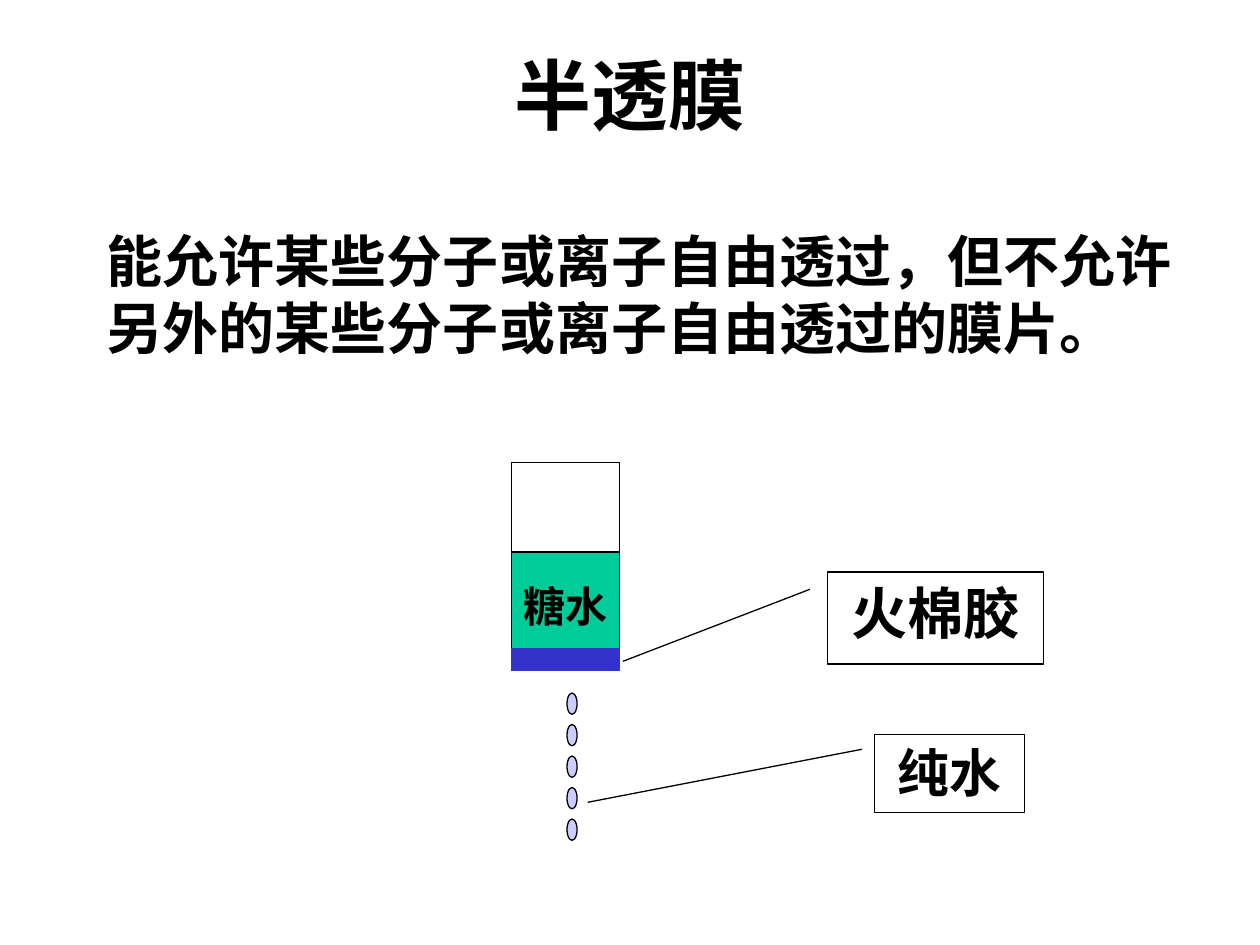
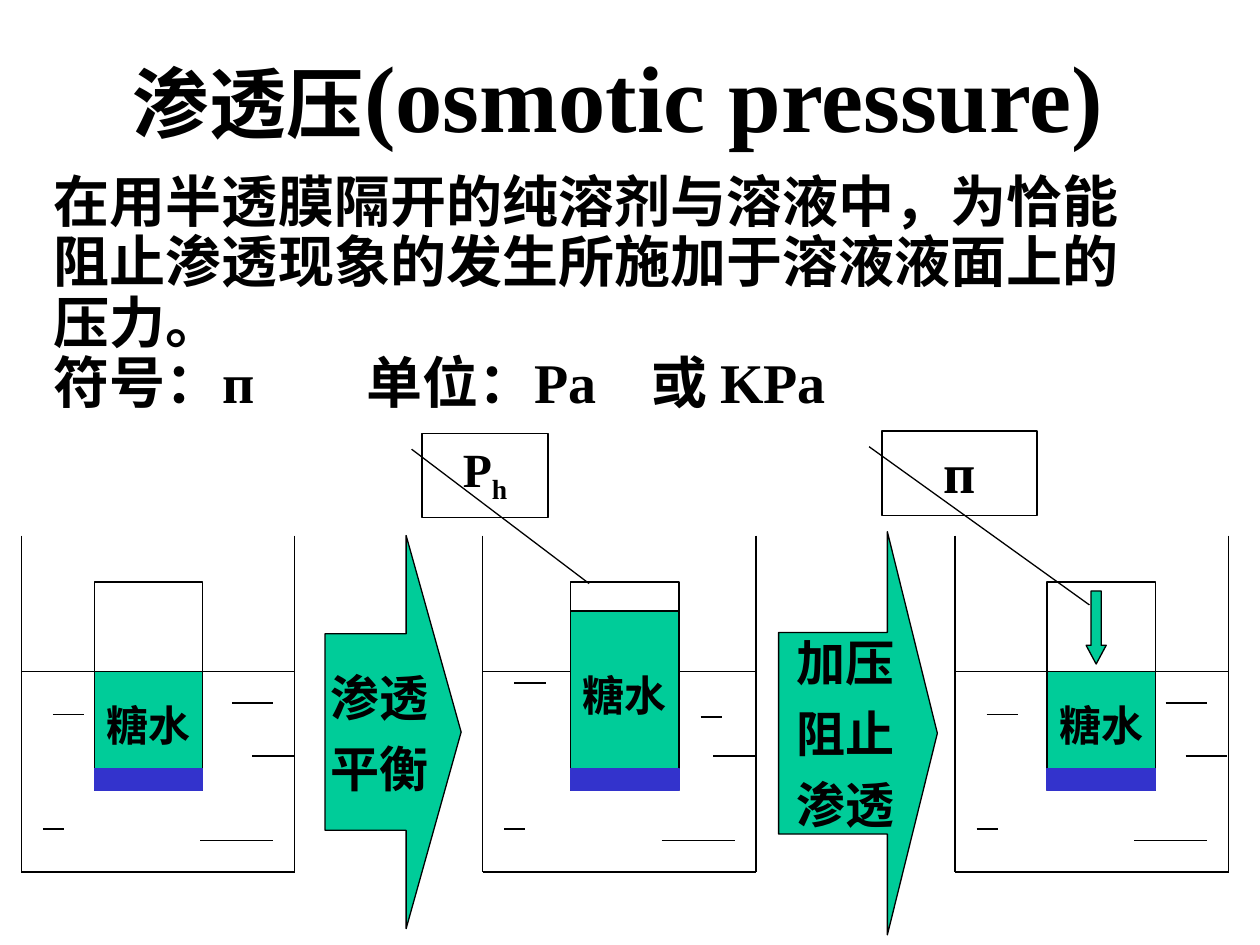
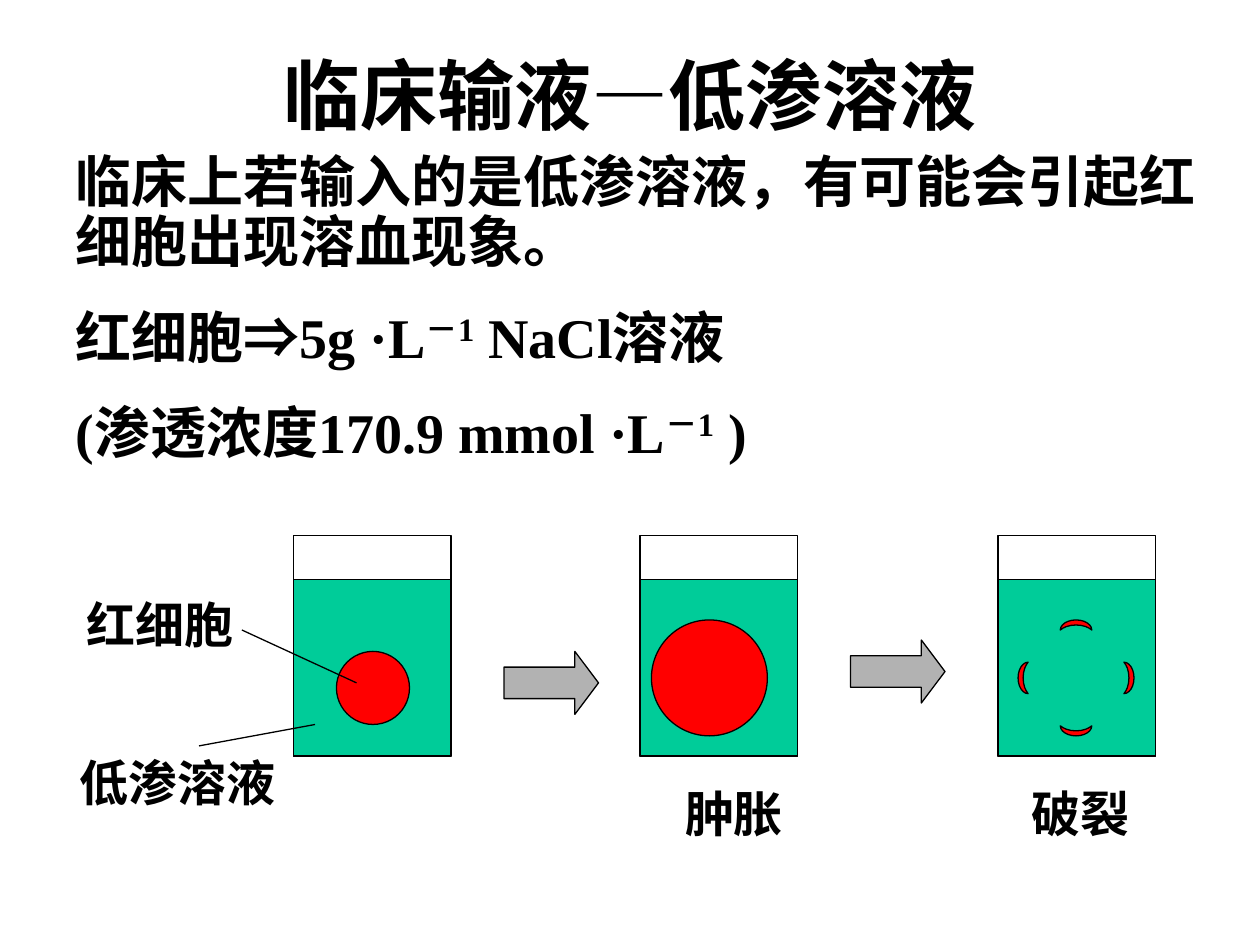
from dataclasses import dataclass
from typing import NamedTuple

from lxml.etree import SubElement
from pptx import Presentation
from pptx.dml.color import RGBColor
from pptx.enum.shapes import MSO_CONNECTOR, MSO_SHAPE
from pptx.enum.text import MSO_ANCHOR, MSO_AUTO_SIZE, PP_ALIGN
from pptx.oxml.ns import qn
from pptx.util import Inches, Pt


@dataclass(frozen=True)
class Theme:
    font: str = "Times New Roman"
    symbol_font: str = "Arial"
    ink: RGBColor = RGBColor(0x00, 0x00, 0x00)
    solution: RGBColor = RGBColor(0x00, 0xCC, 0x99)
    membrane: RGBColor = RGBColor(0x33, 0x33, 0xCC)
    water: RGBColor = RGBColor(0xCC, 0xCC, 0xFF)
    blood: RGBColor = RGBColor(0xFF, 0x00, 0x00)
    step: RGBColor = RGBColor(0xB2, 0xB2, 0xB2)
    line_width: float = 0.75
    title: float = 44
    title_latin: float = 54
    body: float = 32
    water_label: float = 29.6
    pressure_label: float = 27.2
    label: float = 28
    tube_label: float = 24


THEME = Theme()


class Box(NamedTuple):
    left: float
    top: float
    width: float
    height: float

    def inner(self, left, top, width, height):
        """Box given relative to this one's top left corner."""
        return Box(self.left + left, self.top + top, width, height)

    def lengths(self):
        return [Inches(value) for value in self]


class Run(NamedTuple):
    text: str
    size: float = 0
    font: str = THEME.font
    baseline: int = 0


def style_font(font, size, name=THEME.font):
    font.name = name
    font.size = Pt(size)
    font.bold = True
    font.color.rgb = THEME.ink


def add_tab_stops(paragraph, stops):
    tab_list = SubElement(paragraph._p.get_or_add_pPr(), qn("a:tabLst"))
    for stop in stops:
        SubElement(tab_list, qn("a:tab"), pos=str(Inches(stop)), algn="l")


def write_text(frame, paragraphs, size, align=PP_ALIGN.CENTER, space_before=0,
               line_spacing=1.0, tab_stops=()):
    """Fill a frame; each paragraph is a string or a list of Run."""
    for index, content in enumerate(paragraphs):
        paragraph = frame.add_paragraph() if index else frame.paragraphs[0]
        if tab_stops:
            add_tab_stops(paragraph, tab_stops)
        paragraph.alignment = align
        paragraph.line_spacing = line_spacing
        paragraph.space_before = Pt(space_before if index else 0)
        if isinstance(content, str):
            paragraph.text = content
            style_font(paragraph.font, size)
            continue
        for part in content:
            run = paragraph.add_run()
            run.text = part.text
            style_font(run.font, part.size or size, part.font)
            if part.baseline:
                run._r.get_or_add_rPr().set("baseline", str(part.baseline * 1000))


def add_title(slide, content, box=Box(0.75, 0.33, 8.5, 0.83)):
    title = slide.shapes.title
    title.left, title.top, title.width, title.height = box.lengths()
    frame = title.text_frame
    frame.auto_size = MSO_AUTO_SIZE.NONE
    frame.vertical_anchor = MSO_ANCHOR.MIDDLE
    write_text(frame, [content], THEME.title)


def add_text_frame(slide, box):
    frame = slide.shapes.add_textbox(*box.lengths()).text_frame
    frame.word_wrap = True
    return frame


def add_body(slide, box, paragraphs, **format_options):
    write_text(add_text_frame(slide, box), paragraphs, THEME.body,
               align=PP_ALIGN.LEFT, **format_options)


def add_label(slide, box, text):
    """Centred one-line label that may use the full width of its box."""
    frame = add_text_frame(slide, box)
    frame.margin_left = frame.margin_right = 0
    write_text(frame, [text], THEME.label)


def add_figure(slide, kind, box, fill=None, line=THEME.ink, adjustments=()):
    shape = slide.shapes.add_shape(kind, *box.lengths())
    shape.shadow.inherit = False
    for index, value in enumerate(adjustments):
        shape.adjustments[index] = value
    if fill is None:
        shape.fill.background()
    else:
        shape.fill.solid()
        shape.fill.fore_color.rgb = fill
    shape.line.color.rgb = line
    shape.line.width = Pt(THEME.line_width)
    return shape


def add_caption(shape, paragraphs, size, **format_options):
    """Unwrapped text in the middle of a shape."""
    frame = shape.text_frame
    frame.word_wrap = False
    frame.vertical_anchor = MSO_ANCHOR.MIDDLE
    write_text(frame, paragraphs, size, **format_options)


def add_line(slide, left, top, right, bottom):
    ends = [Inches(value) for value in (left, top, right, bottom)]
    connector = slide.shapes.add_connector(MSO_CONNECTOR.STRAIGHT, *ends)
    connector.line.color.rgb = THEME.ink
    connector.line.width = Pt(THEME.line_width)
    SubElement(connector._element.spPr, qn("a:effectLst"))


def add_callout(slide, box, content, size, pointer):
    """Framed label with a leader line ending at pointer (fractions down, across)."""
    shape = add_figure(slide, MSO_SHAPE.LINE_CALLOUT_1, box,
                       adjustments=(0.188, -0.083, *pointer))
    shape.text_frame.word_wrap = True
    shape.text_frame.vertical_anchor = MSO_ANCHOR.TOP
    write_text(shape.text_frame, [content], size)


def add_tube(slide, left, top, liquid_top=0.71):
    """Tube of sugar water closed by a membrane."""
    tube = Box(left, top, 0.86, 1.65)
    liquid = add_figure(slide, MSO_SHAPE.RECTANGLE,
                        tube.inner(0, liquid_top, tube.width, 1.56 - liquid_top),
                        THEME.solution)
    add_caption(liquid, ["糖水"], THEME.tube_label)
    add_figure(slide, MSO_SHAPE.RECTANGLE, tube)
    add_figure(slide, MSO_SHAPE.RECTANGLE, tube.inner(0, 1.48, tube.width, 0.17),
               THEME.membrane, THEME.membrane)


def add_beaker(slide, box, upper_ripples):
    """Open beaker of water; ripples are (left, top, length) inside the box."""
    right, bottom = box.left + box.width, box.top + box.height
    for side in (box.left, right):
        add_line(slide, side, box.top, side, bottom)
    for level in (box.top + 1.08, bottom):
        add_line(slide, box.left, level, right, level)
    lower_ripples = [(0.17, 2.33, 0.17), (1.83, 1.75, 0.33), (1.42, 2.42, 0.58)]
    for left, top, length in lower_ripples + upper_ripples:
        start, level = box.left + left, box.top + top
        add_line(slide, start, level, start + length, level)


def add_process_arrow(slide, box, head, lines):
    arrow = add_figure(slide, MSO_SHAPE.RIGHT_ARROW, box, THEME.solution,
                       adjustments=(0.5, head))
    add_caption(arrow, lines, THEME.label, space_before=7)


def add_solution_jar(slide, box):
    add_figure(slide, MSO_SHAPE.RECTANGLE,
               box.inner(0, 0.35, box.width, box.height - 0.35), THEME.solution)
    add_figure(slide, MSO_SHAPE.RECTANGLE, box)


def add_cell(slide, box):
    add_figure(slide, MSO_SHAPE.OVAL, box, THEME.blood)


def add_burst_cell(slide, box):
    """Four membrane fragments at the sides of the box."""
    width, height = 0.08, 0.25
    middle_left = (box.width - width) / 2
    middle_top = (box.height - height) / 2
    fragments = [
        (0, middle_top, 0),
        (middle_left, (width - height) / 2, 90),
        (middle_left, box.height - (height + width) / 2, 270),
        (box.width - width, middle_top, 180),
    ]
    for left, top, rotation in fragments:
        fragment = add_figure(slide, MSO_SHAPE.MOON, box.inner(left, top, width, height),
                              THEME.blood, adjustments=(0.5,))
        fragment.rotation = rotation


def build_membrane_slide(slide):
    add_title(slide, "半透膜")
    add_body(slide, Box(0.75, 1.75, 8.82, 1.17),
             ["能允许某些分子或离子自由透过，但不允许另外的某些分子或离子自由透过的膜片。"])
    add_callout(slide, Box(6.57, 4.54, 1.71, 0.73), "火棉胶", THEME.body, (0.971, -0.951))
    for drop in range(5):
        add_figure(slide, MSO_SHAPE.OVAL, Box(4.5, 5.5 + 0.25 * drop, 0.08, 0.17), THEME.water)
    add_callout(slide, Box(6.94, 5.83, 1.19, 0.62), "纯水", THEME.water_label, (0.867, -1.912))
    add_tube(slide, 4.06, 3.67)


def build_pressure_slide(slide):
    add_title(slide, [Run("渗透压"), Run("(osmotic pressure) ", THEME.title_latin)],
              Box(0.75, 0.25, 8.5, 1))
    add_body(slide, Box(0.33, 1.33, 8.92, 2.02),
             ["在用半透膜隔开的纯溶剂与溶液中，为恰能阻止渗透现象的发生所施加于溶液液面上的压力。",
              "符号：п\t单位：Pa\t或 KPa"],
             line_spacing=0.9, tab_stops=(2.48, 4.74))
    add_callout(slide, Box(3.35, 3.44, 1, 0.67), [Run("P"), Run("h", baseline=-25)],
                THEME.pressure_label, (1.779, 1.326))
    add_callout(slide, Box(7, 3.42, 1.23, 0.67), "п", THEME.body, (2.062, 1.339))

    still_water = [(0.25, 1.42, 0.25), (1.67, 1.33, 0.33)]
    risen_water = [(0.25, 1.17, 0.25), (1.67, 1.08, 0.33), (1.73, 1.44, 0.17)]
    for left, ripples in ((0.17, still_water), (3.83, risen_water), (7.58, still_water)):
        add_beaker(slide, Box(left, 4.25, 2.17, 2.67), ripples)
    add_process_arrow(slide, Box(2.58, 4.25, 1.08, 3.12), 0.404, ["渗透", "平衡"])
    add_process_arrow(slide, Box(6.18, 4.22, 1.26, 3.2), 0.315, ["加压", "阻止", "渗透"])
    add_figure(slide, MSO_SHAPE.DOWN_ARROW, Box(8.62, 4.69, 0.16, 0.58), THEME.solution,
               adjustments=(0.5, 0.93))
    for left, liquid_top in ((0.75, 0.71), (4.53, 0.23), (8.31, 0.71)):
        add_tube(slide, left, 4.62, liquid_top)


def build_infusion_slide(slide):
    add_title(slide, "临床输液—低渗溶液")
    per_litre = Run("－1", baseline=30)
    add_body(slide, Box(0.5, 1.17, 9.17, 2.58),
             ["临床上若输入的是低渗溶液，有可能会引起红细胞出现溶血现象。",
              [Run("红细胞"), Run("⇒", font=THEME.symbol_font), Run("5g ·L"), per_litre,
               Run(" NaCl溶液")],
              [Run("(渗透浓度170.9 mmol ·L"), per_litre, Run(" )")]],
             line_spacing=0.9, space_before=20)

    for left in (2.33, 5.08, 7.92):
        add_solution_jar(slide, Box(left, 4.25, 1.25, 1.75))
    add_cell(slide, Box(2.67, 5.17, 0.58, 0.58))
    add_cell(slide, Box(5.17, 4.92, 0.92, 0.92))
    add_burst_cell(slide, Box(8.08, 4.92, 0.92, 0.92))
    for left, top in ((4, 5.17), (6.75, 5.08)):
        add_figure(slide, MSO_SHAPE.RIGHT_ARROW, Box(left, top, 0.75, 0.5), THEME.step,
                   adjustments=(0.5, 0.375))
    add_line(slide, 1.58, 5.92, 2.5, 5.75)
    add_line(slide, 1.92, 5, 2.83, 5.42)
    add_label(slide, Box(0.42, 5.92, 1.98, 0.57), "低渗溶液")
    add_label(slide, Box(0.59, 4.67, 1.36, 0.57), "红细胞")
    add_label(slide, Box(5.34, 6.17, 0.97, 0.57), "肿胀")
    add_label(slide, Box(8.09, 6.17, 0.97, 0.57), "破裂")


def main():
    presentation = Presentation()
    presentation.slide_width = Inches(10)
    presentation.slide_height = Inches(7.5)
    title_only = presentation.slide_layouts[5]
    for build in (build_membrane_slide, build_pressure_slide, build_infusion_slide):
        build(presentation.slides.add_slide(title_only))
    presentation.save("out.pptx")


if __name__ == "__main__":
    main()
